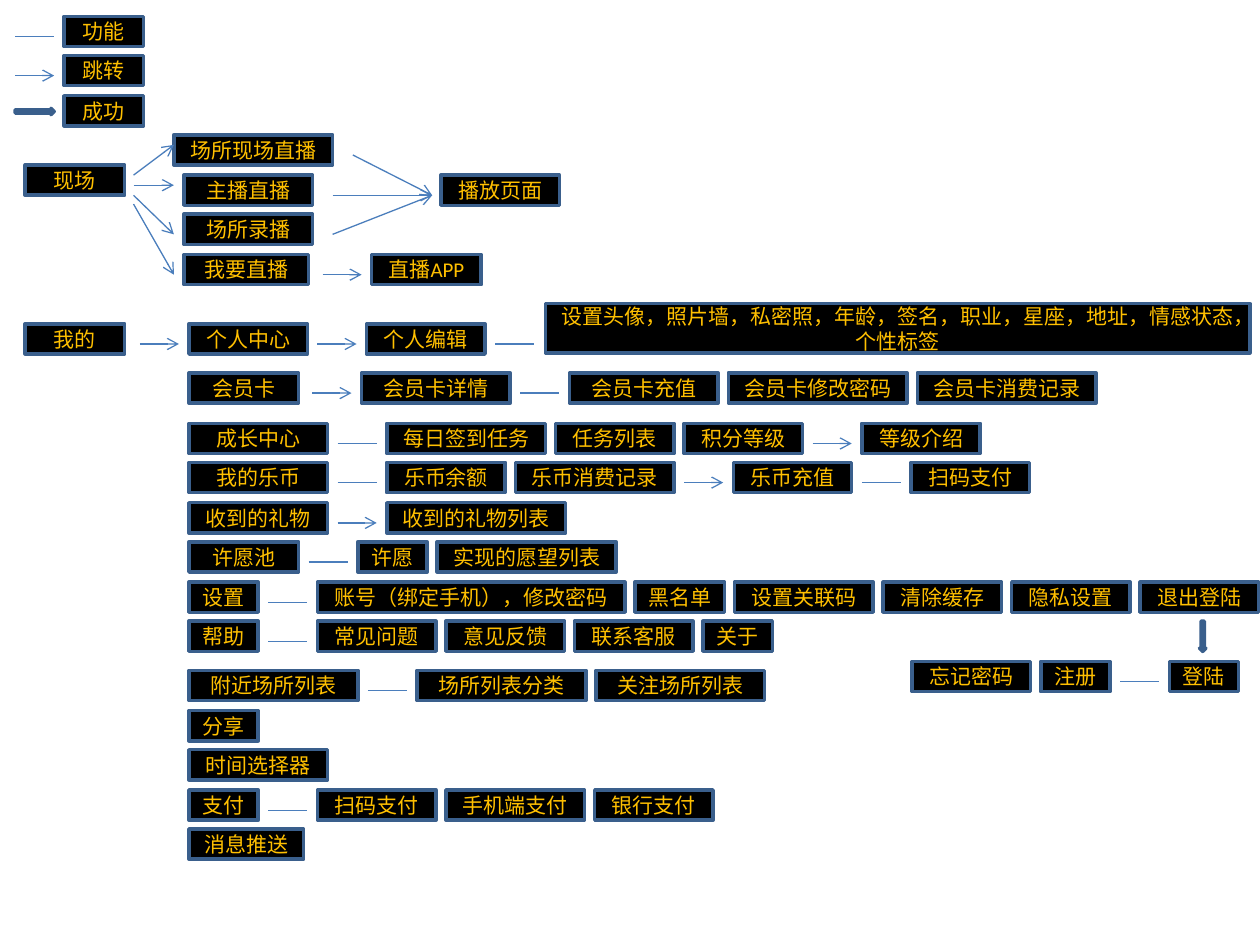
from lxml import etree
from pptx import Presentation
from pptx import util as u
from pptx.dml.color import RGBColor
from pptx.enum import shapes, text
from pptx.oxml.ns import qn

BLACK = RGBColor(0x00, 0x00, 0x00)
GOLD = RGBColor(0xFF, 0xC0, 0x00)
BORDER = RGBColor(0x3A, 0x5F, 0x8C)
LINK = RGBColor(0x4B, 0x7E, 0xBC)
BLUE = RGBColor(0x4F, 0x81, 0xBD)

GAP, LINK_LENGTH, LINK_DROP, BOX_HEIGHT = 0.08, 0.31, 0.16, 0.24
LINE, ARROW = "line", "arrow"

ROWS = [
    (0.12, 0.13, [LINE, ("功能", 0.63)]),
    (0.12, 0.44, [ARROW, ("跳转", 0.63)]),
    (0.51, 0.76, [("成功", 0.63)]),
    (0.2, 1.31, [("现场", 0.79)]),
    (1.38, 1.07, [("场所现场直播", 1.26)]),
    (1.46, 1.39, [("主播直播", 1.02)]),
    (3.5, 1.39, [("播放页面", 0.94)]),
    (1.46, 1.7, [("场所录播", 1.02)]),
    (1.46, 2.02, [("我要直播", 0.99)]),
    (2.56, 2.02, [ARROW, ("直播APP", 0.87)]),
    (0.2, 2.57, [("我的", 0.79)]),
    (1.11, 2.57, [ARROW, ("个人中心", 0.94), ARROW, ("个人编辑", 0.94), LINE]),
    (1.5, 2.96, [("会员卡", 0.87)]),
    (2.48, 2.96, [ARROW, ("会员卡详情", 1.18), LINE, ("会员卡充值", 1.18),
                  ("会员卡修改密码", 1.42), ("会员卡消费记录", 1.42)]),
    (1.5, 3.36, [("成长中心", 1.1), LINE, ("每日签到任务", 1.26), ("任务列表", 0.94),
                 ("积分等级", 0.94), ARROW, ("等级介绍", 0.94)]),
    (1.5, 3.67, [("我的乐币", 1.1), LINE, ("乐币余额", 0.94), ("乐币消费记录", 1.26),
                 ARROW, ("乐币充值", 0.94), LINE, ("扫码支付", 0.94)]),
    (1.5, 3.99, [("收到的礼物", 1.1), ARROW, ("收到的礼物列表", 1.42)]),
    (1.5, 4.3, [("许愿池", 0.87), LINE, ("许愿", 0.55), ("实现的愿望列表", 1.42)]),
    (1.5, 4.62, [("设置", 0.55), LINE, ("账号（绑定手机），修改密码", 2.44),
                 ("黑名单", 0.71), ("设置关联码", 1.1), ("清除缓存", 0.94),
                 ("隐私设置", 0.94), ("退出登陆", 0.94)]),
    (1.5, 4.93, [("帮助", 0.55), LINE, ("常见问题", 0.94), ("意见反馈", 0.94),
                 ("联系客服", 0.94), ("关于", 0.55)]),
    (7.24, 5.25, [("忘记密码", 0.94), ("注册", 0.55), LINE, ("登陆", 0.55)]),
    (1.5, 5.32, [("附近场所列表", 1.34), LINE, ("场所列表分类", 1.34),
                 ("关注场所列表", 1.34)]),
    (1.5, 5.64, [("分享", 0.55)]),
    (1.5, 5.95, [("时间选择器", 1.1)]),
    (1.5, 6.27, [("支付", 0.55), LINE, ("扫码支付", 0.94), ("手机端支付", 1.1),
                 ("银行支付", 0.94)]),
    (1.5, 6.58, [("消息推送", 0.91)]),
]
PROFILE_FIELDS = ["设置头像，照片墙，私密照，年龄，签名，职业，星座，地址，情感状态，",
                  "个性标签"]
LIVE_BRANCHES = [(1.39, 1.15), (1.47, 1.47), (1.55, 1.86), (1.62, 2.18)]
PLAYER_SOURCES = [(2.8, 1.23), (2.64, 1.55), (2.64, 1.86)]
SUCCESS_ARROWS = [
    (shapes.MSO_SHAPE.RIGHT_ARROW, 0.12, 0.86, 0.31, 0.05),
    (shapes.MSO_SHAPE.DOWN_ARROW, 9.52, 4.93, 0.05, 0.24),
]

presentation = Presentation()
presentation.slide_width = u.Inches(10)
presentation.slide_height = u.Inches(7.5)
slide = presentation.slides.add_slide(presentation.slide_layouts[6])


def add_block(kind, left, top, width, height, fill):
    shape = slide.shapes.add_shape(
        kind, u.Inches(left), u.Inches(top), u.Inches(width), u.Inches(height))
    shape.shadow.inherit = False
    shape.fill.solid()
    shape.fill.fore_color.rgb = fill
    shape.line.color.rgb = BORDER
    shape.line.width = u.Pt(2)
    return shape


def write_text(frame, lines, size=12, color=GOLD, font="Calibri"):
    frame.word_wrap = True
    frame.vertical_anchor = text.MSO_ANCHOR.MIDDLE
    for index, line in enumerate(lines):
        paragraph = frame.add_paragraph() if index else frame.paragraphs[0]
        paragraph.alignment = text.PP_ALIGN.CENTER
        run = paragraph.add_run()
        run.text = line
        run.font.size = u.Pt(size)
        run.font.name = font
        run.font.color.rgb = color


def add_box(lines, left, top, width, height=BOX_HEIGHT):
    box = add_block(shapes.MSO_SHAPE.RECTANGLE, left, top, width, height, BLACK)
    write_text(box.text_frame, lines)


def add_link(x1, y1, x2, y2, kind=ARROW):
    connector = slide.shapes.add_connector(
        shapes.MSO_CONNECTOR.STRAIGHT,
        u.Inches(x1), u.Inches(y1), u.Inches(x2), u.Inches(y2))
    connector.line.color.rgb = LINK
    connector.line.width = u.Pt(0.75)
    if kind == ARROW:
        outline = connector.line._get_or_add_ln()
        etree.SubElement(outline, qn("a:tailEnd"), type="arrow")
    etree.SubElement(connector._element.spPr, qn("a:effectLst"))


for left, top, items in ROWS:
    for item in items:
        if item in (LINE, ARROW):
            width = LINK_LENGTH
            add_link(left, top + LINK_DROP, left + width, top + LINK_DROP, item)
        else:
            label, width = item
            add_box([label], left, top, width)
        left += width + GAP

add_box(PROFILE_FIELDS, 4.33, 2.41, 5.59, 0.39)

for start, end in LIVE_BRANCHES:
    add_link(1.06, start, 1.38, end)
for x, y in PLAYER_SOURCES:
    add_link(x, y, 3.43, 1.55)
for kind, *bounds in SUCCESS_ARROWS:
    add_block(kind, *bounds, BLUE)

presentation.save("out.pptx")
